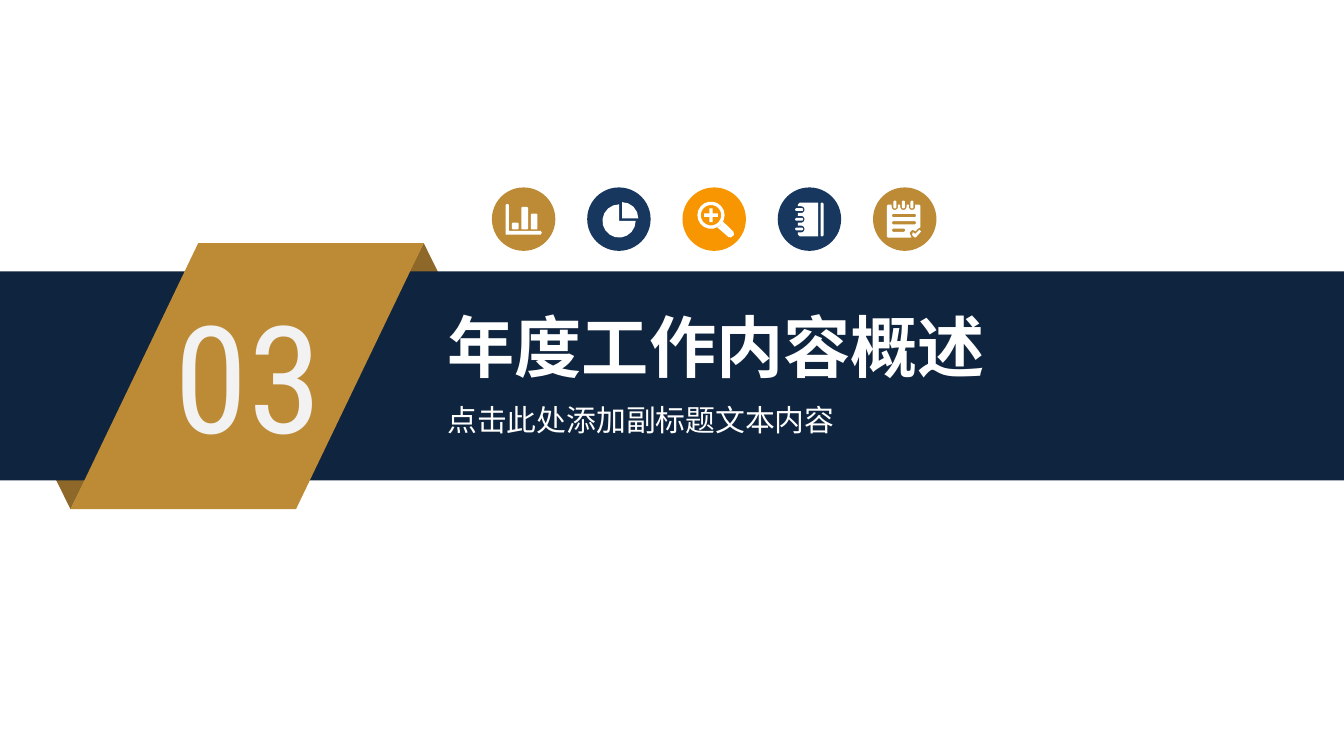
import math
from dataclasses import dataclass

import lxml.etree
import pptx
import pptx.dml.color
import pptx.enum.shapes
import pptx.enum.text
import pptx.oxml.ns
import pptx.util

Pt = pptx.util.Pt
Shape = pptx.enum.shapes.MSO_SHAPE


@dataclass(frozen=True)
class Theme:
    band: str = "0F243E"
    gold: str = "BD8B36"
    fold: str = "8E6828"
    navy: str = "17375E"
    orange: str = "F79600"
    white: str = "FFFFFF"
    number: str = "F2F2F2"
    text_font: str = "Noto Sans CJK SC"
    number_font: str = "Roboto Condensed"
    number_size: int = 80
    title_size: int = 36
    subtitle_size: int = 16


THEME = Theme()


def paint(shape, color):
    shape.fill.solid()
    shape.fill.fore_color.rgb = pptx.dml.color.RGBColor.from_string(color)
    shape.line.fill.background()
    shape.shadow.inherit = False


def add_block(slide, kind, box, color):
    shape = slide.shapes.add_shape(kind, *map(Pt, box))
    paint(shape, color)
    return shape


def write_text(shape, box, text, font_name, size, color, bold=False):
    shape.left, shape.top, shape.width, shape.height = map(Pt, box)
    frame = shape.text_frame
    frame.text = text
    frame.word_wrap = True
    frame.auto_size = pptx.enum.text.MSO_AUTO_SIZE.NONE
    frame.vertical_anchor = pptx.enum.text.MSO_ANCHOR.TOP
    frame.margin_left = frame.margin_right = Pt(5.4)
    frame.margin_top = frame.margin_bottom = Pt(2.8)
    paragraph = frame.paragraphs[0]
    paragraph.alignment = pptx.enum.text.PP_ALIGN.LEFT
    font = paragraph.runs[0].font
    font.name, font.size, font.bold = font_name, Pt(size), bold
    font.color.rgb = pptx.dml.color.RGBColor.from_string(color)
    east_asian = lxml.etree.Element(pptx.oxml.ns.qn("a:ea"), typeface=font_name)
    paragraph.runs[0]._r.rPr.find(pptx.oxml.ns.qn("a:latin")).addnext(east_asian)


def arc(x, y, radius, start=0, end=360):
    steps = max(4, abs(end - start) // 20)
    angles = [math.radians(start + (end - start) * i / steps) for i in range(steps + 1)]
    return [(x + radius * math.cos(a), y + radius * math.sin(a)) for a in angles]


def bar(x, y, width, height, cut=0.5):
    right, bottom = x + width, y + height
    return [(x + cut, y), (right - cut, y), (right, y + cut), (right, bottom - cut),
            (right - cut, bottom), (x + cut, bottom), (x, bottom - cut), (x, y + cut)]


def bar_chart_icon():
    axes = [(7.4, 9.4), (8.2, 8.8), (9.2, 9.4), (9.2, 23.3), (26.2, 23.3),
            (26.8, 24.3), (26.2, 25.3), (7.4, 25.3)]
    bars = [(10.8, 18.9), (15.8, 10.5), (20.9, 14.1)]
    return [axes] + [bar(x, y, 3.6, 22.6 - y) for x, y in bars]


def pie_icon():
    return [[(18.7, 16.6)] + arc(18.7, 16.6, 8.7, -90, 0),
            [(17.1, 18)] + arc(17.1, 18, 8.9, 0, 270)]


def magnifier_icon():
    x, y, reach, half = 15.3, 14.9, 3.7, 0.9
    handle = [(21.8, 18.4), (27.4, 23.8), (27.6, 25.5), (26, 26.8), (24.6, 26.6),
              (18.9, 21.6), (20.5, 20.3)]
    arm = [(half, -half), (reach, -half), (reach, half)]
    plus = []
    for _ in range(4):
        plus += [(x + dx, y + dy) for dx, dy in arm]
        arm = [(-dy, dx) for dx, dy in arm]
    return [arc(x, y, 7.3), arc(x, y, 5.5), handle, plus]


def notebook_icon():
    rings = [11.9, 17.1, 22.3]
    cover = [(21.7, 8.2), (21.7, 26.2), (11.8, 26.2), (10.8, 25.2)]
    for y in reversed(rings):
        cover += [(10.8, y + 1.8)] + arc(12.6, y, 1.8, 90, -90) + [(10.8, y - 1.8)]
    cover += [(10.8, 9.2), (11.8, 8.2)]
    spine = bar(23, 8.2, 1.6, 18)
    return [cover, spine] + [bar(9.4, y - 0.75, 4.3, 1.5) for y in rings]


def notepad_icon():
    rings = [11.7, 16.3, 20.9]
    page = [(7.4, 9.9), (8, 9.3)]
    for x in rings:
        page += [(x - 1.7, 9.3)] + arc(x, 10.4, 1.7, 180, 0) + [(x + 1.7, 9.3)]
    page += [(24.8, 9.3), (25.4, 9.9), (25.4, 21.4), (23.8, 22.3), (22.9, 23.5),
             (21, 22.7), (19.6, 24.3), (20.6, 26.9), (8, 26.9), (7.4, 26.3)]
    check = [(25.8, 23.6), (22.9, 26.8), (22.2, 26.8), (20.9, 25.5), (21.4, 24),
             (22.6, 24.9), (24.8, 22.7)]
    lines = [(14.2, 12.8), (18.1, 12.8), (22.1, 7)]
    return ([page, check] + [bar(10.2, y, width, 1.7) for y, width in lines]
            + [bar(x - 0.8, 7.1, 1.6, 4.2) for x in rings])


def add_badge(slide, box, color, contours):
    add_block(slide, Shape.OVAL, box, color)
    left, top = box[:2]
    builder = None
    for contour in contours:
        points = [(Pt(left + x), Pt(top + y)) for x, y in contour]
        if builder is None:
            builder = slide.shapes.build_freeform(*points[0])
        else:
            builder.move_to(*points[0])
        builder.add_line_segments(points[1:], close=True)
    paint(builder.convert_to_shape(), THEME.white)


def add_badge_row(slide, box):
    left, top, width, size = box
    badges = [(THEME.gold, bar_chart_icon), (THEME.navy, pie_icon),
              (THEME.orange, magnifier_icon), (THEME.navy, notebook_icon),
              (THEME.gold, notepad_icon)]
    pitch = (width - size) / (len(badges) - 1)
    for index, (color, icon) in enumerate(badges):
        add_badge(slide, (left + index * pitch, top, size, size), color, icon())


def add_ribbon(slide, box, band_box, number):
    left, top, width, height = box
    fold_width, fold_height = 64.8, 65.5
    add_block(slide, Shape.ISOSCELES_TRIANGLE,
              (left + width - fold_width / 2, top, fold_width, fold_height), THEME.fold)
    lower_fold = add_block(slide, Shape.ISOSCELES_TRIANGLE,
                           (left - fold_width / 2, top + height - fold_height,
                            fold_width, fold_height), THEME.fold)
    lower_fold.rotation = 180
    add_block(slide, Shape.RECTANGLE, band_box, THEME.band)
    ribbon = add_block(slide, Shape.PARALLELOGRAM, box, THEME.gold)
    ribbon.adjustments[0] = 0.48
    number_box = (left + 50.4, top + 19.5, 104.4, 102)
    write_text(slide.shapes.add_textbox(0, 0, 0, 0), number_box, number,
               THEME.number_font, THEME.number_size, THEME.number)


def add_heading(slide, box, title, subtitle):
    left, top, width, height = box
    slide.shapes.element.append(slide.shapes.title.element)
    write_text(slide.shapes.title, (left, top, width, 49), title,
               THEME.text_font, THEME.title_size, THEME.white, bold=True)
    write_text(slide.shapes.add_textbox(0, 0, 0, 0),
               (left, top + height - 25.2, 242, 25.2), subtitle,
               THEME.text_font, THEME.subtitle_size, THEME.white)


def main():
    presentation = pptx.Presentation()
    presentation.slide_width, presentation.slide_height = Pt(720), Pt(405)
    slide = presentation.slides.add_slide(presentation.slide_layouts[5])
    add_ribbon(slide, (37.8, 130.2, 189.2, 142.6), (0, 145.4, 720, 112), "03")
    add_heading(slide, (234.3, 160.6, 397.4, 77), "年度工作内容概述", "点击此处添加副标题文本内容")
    add_badge_row(slide, (263.5, 100.4, 238.2, 34))
    presentation.save("out.pptx")


if __name__ == "__main__":
    main()
